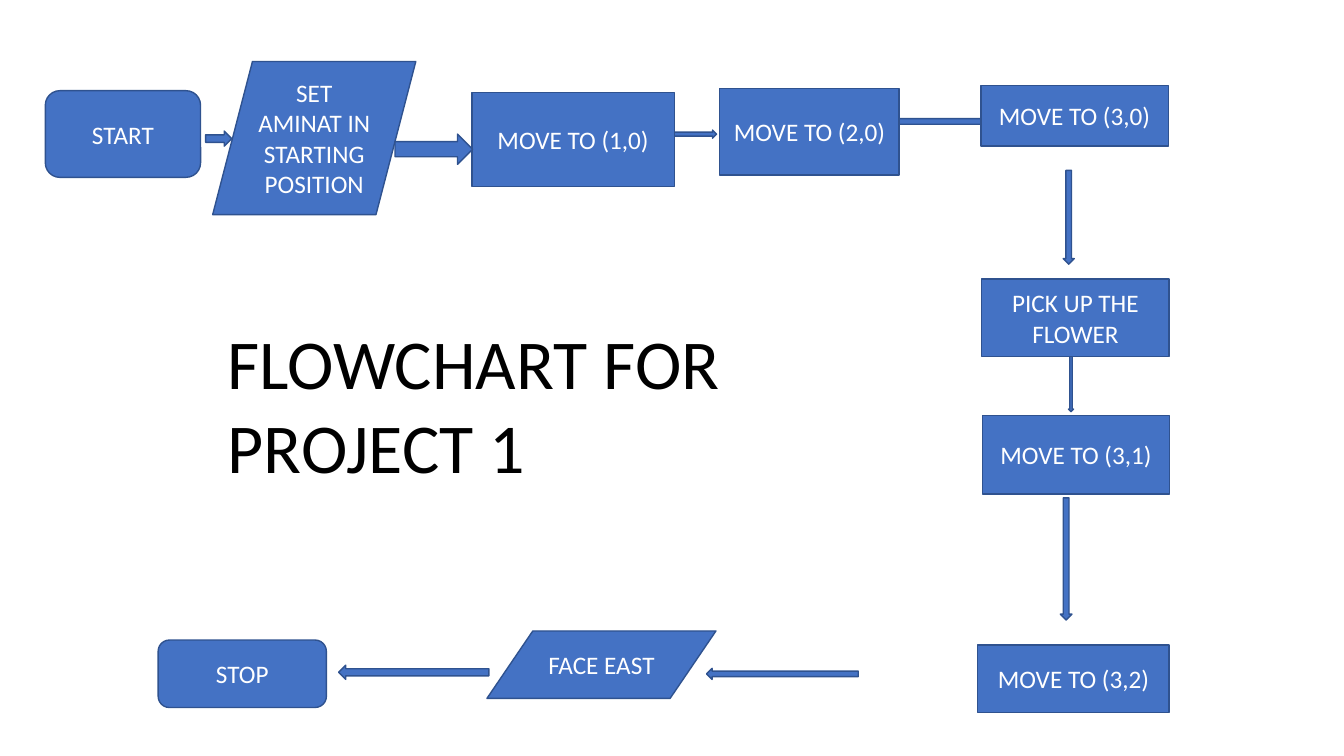
import pptx
import pptx.util
import pptx.dml.color
import pptx.enum.shapes
import pptx.enum.text

Pt = pptx.util.Pt
KIND = pptx.enum.shapes.MSO_SHAPE
FONT = "Calibri"
COLORS = {"fill": "4472C4", "line": "2F528F", "label": "FFFFFF", "title": "000000"}

# left, top, width, height
TITLE = ("FLOWCHART FOR PROJECT 1", (155.5, 224.6, 410.4, 128.2))

ARROWS_BEHIND = [
    (KIND.RIGHT_ARROW, (146.9, 93.6, 18.7, 10.8)),
    (KIND.RIGHT_ARROW, (480.2, 92.9, 31.7, 5.8)),
    (KIND.RIGHT_ARROW, (642.2, 82.8, 67.3, 7.9)),
    (KIND.DOWN_ARROW, (759.4, 121.7, 7.9, 67)),
    (KIND.DOWN_ARROW, (763.2, 245.5, 3.6, 48.5)),
    (KIND.DOWN_ARROW, (757.4, 355.7, 8.3, 87.2)),
    (KIND.LEFT_ARROW, (504.7, 477.4, 108.4, 7.9)),
    (KIND.LEFT_ARROW, (241.9, 475.2, 107.3, 10.1)),
]
ARROW_IN_FRONT = (KIND.RIGHT_ARROW, (282.2, 95.8, 55.4, 21.6))

# kind, place, text, slant of a parallelogram
STEPS = [
    (KIND.ROUNDED_RECTANGLE, (32.4, 64.8, 110.9, 61.9), "START", None),
    (KIND.PARALLELOGRAM, (151.9, 43.9, 145.1, 109.4),
     "SET AMINAT IN STARTING POSITION", 0.26),
    (KIND.RECTANGLE, (337, 66.2, 144.7, 67), "MOVE TO (1,0)", None),
    (KIND.RECTANGLE, (514.1, 63.4, 128.2, 61.5), "MOVE TO (2,0)", None),
    (KIND.RECTANGLE, (700.6, 61.2, 133.9, 43.2), "MOVE TO (3,0)", None),
    (KIND.RECTANGLE, (701.3, 199.4, 133.9, 55.4), "PICK UP THE FLOWER", None),
    (KIND.RECTANGLE, (702, 296.6, 133.2, 56.2), "MOVE TO (3,1)", None),
    (KIND.RECTANGLE, (698.4, 460.8, 136.8, 48.2), "MOVE TO (3,2)", None),
    (KIND.PARALLELOGRAM, (347.8, 450.7, 163.6, 48.2), "FACE EAST", 0.68),
    (KIND.ROUNDED_RECTANGLE, (113, 457.2, 120.2, 48.2), "STOP", None),
]


def rgb(name):
    return pptx.dml.color.RGBColor.from_string(COLORS[name])


def write(sp, text, size, color):
    tf = sp.text_frame
    tf.word_wrap = True
    p = tf.paragraphs[0]
    r = p.add_run()
    r.text = text
    r.font.name = FONT
    r.font.size = Pt(size)
    r.font.color.rgb = rgb(color)
    return tf, p


def add_block(s, kind, place):
    sp = s.shapes.add_shape(kind, *map(Pt, place))
    sp.shadow.inherit = False
    sp.fill.solid()
    sp.fill.fore_color.rgb = rgb("fill")
    sp.line.color.rgb = rgb("line")
    sp.line.width = Pt(1)
    return sp


def add_step(s, kind, place, text, slant):
    sp = add_block(s, kind, place)
    if slant is not None:
        sp.adjustments[0] = slant
    tf, p = write(sp, text, 18, "label")
    tf.vertical_anchor = pptx.enum.text.MSO_ANCHOR.MIDDLE
    p.alignment = pptx.enum.text.PP_ALIGN.CENTER


def add_title(s, text, place):
    sp = s.shapes.add_textbox(*map(Pt, place))
    tf, p = write(sp, text, 50, "title")
    tf.auto_size = pptx.enum.text.MSO_AUTO_SIZE.SHAPE_TO_FIT_TEXT


def main():
    prs = pptx.Presentation()
    prs.slide_width, prs.slide_height = Pt(960), Pt(540)
    s = prs.slides.add_slide(prs.slide_layouts[6])
    for arrow in ARROWS_BEHIND:
        add_block(s, *arrow)
    for step in STEPS:
        add_step(s, *step)
    add_block(s, *ARROW_IN_FRONT)
    add_title(s, *TITLE)
    prs.save("out.pptx")


if __name__ == "__main__":
    main()
